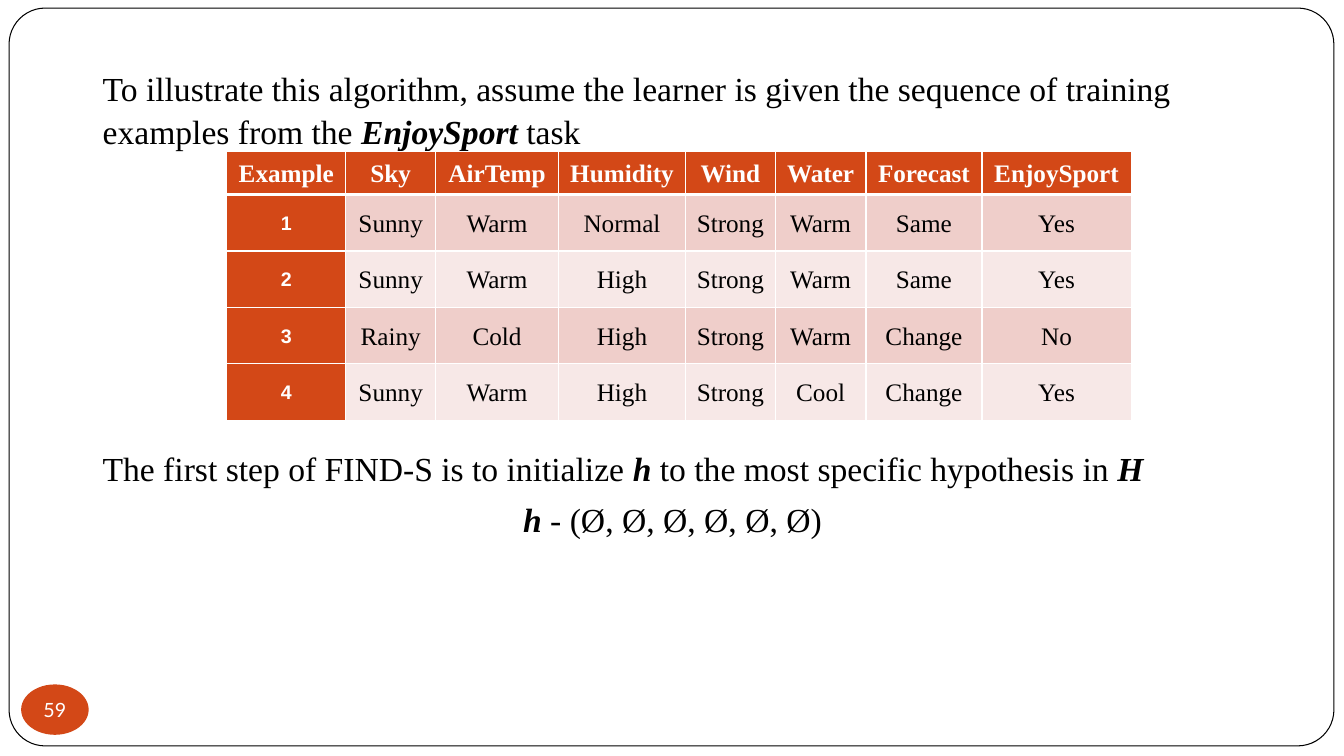
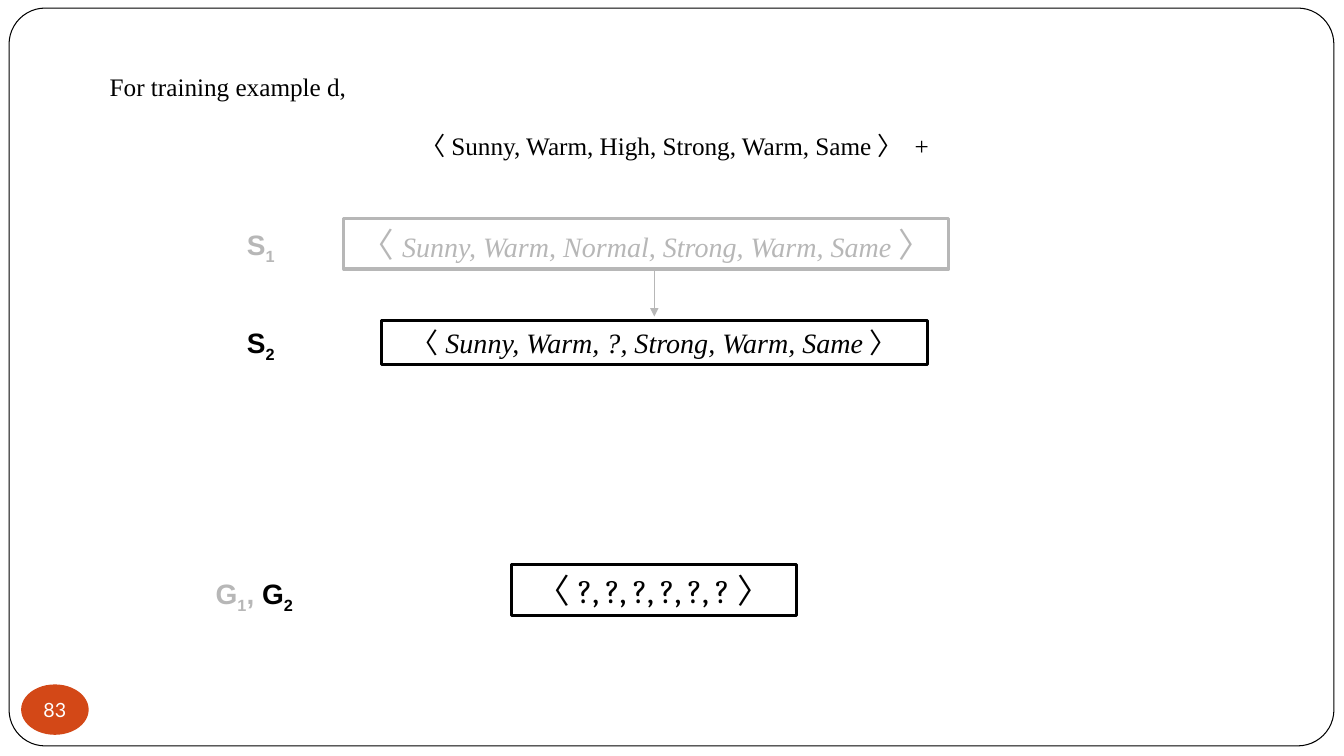
from lxml.etree import SubElement
from pptx import Presentation
from pptx.dml.color import RGBColor
from pptx.enum.shapes import MSO_CONNECTOR as CONNECTOR, MSO_SHAPE as SHAPE
from pptx.enum.text import MSO_ANCHOR as ANCHOR, PP_ALIGN as ALIGN
from pptx.oxml.ns import qn
from pptx.util import Inches, Pt

WIDTH, HEIGHT = 13.33, 7.5
BLACK, WHITE, GREY, ORANGE = "000000", "FFFFFF", "B7B7B7", "D34817"
BANDS = "EFCECA", "F7E8E7"
SERIF, SANS, MATH, NUMBER = "Times New Roman", "Arial", "Cambria", "Lato"
STRONG = {"bold": True, "italic": True}

COLUMNS = {"Example": 1.18, "Sky": 0.89, "AirTemp": 1.22, "Humidity": 1.26,
           "Wind": 0.89, "Water": 0.9, "Forecast": 1.15, "EnjoySport": 1.48}
EXAMPLES = [
    "1 Sunny Warm Normal Strong Warm Same Yes",
    "2 Sunny Warm High Strong Warm Same Yes",
    "3 Rainy Cold High Strong Warm Change No",
    "4 Sunny Warm High Strong Cool Change Yes",
]


def rgb(color):
    return RGBColor.from_string(color)


def inches(box):
    return [Inches(length) for length in box]


def style(span, size=18, font=SERIF, color=BLACK, bold=False, italic=False, base=0):
    """Format a run; base is the baseline shift in percent."""
    face = span.font
    face.size, face.name = Pt(size), font
    face.bold, face.italic = bold, italic
    face.color.rgb = rgb(color)
    if base:
        span._r.get_or_add_rPr().set("baseline", str(base * 1000))


def write(para, spans, align=ALIGN.LEFT, **shared):
    """Fill a paragraph with (text, own format) spans over a shared format."""
    para.alignment = align
    for text, own in spans:
        span = para.add_run()
        span.text = text
        style(span, **{**shared, **own})


def add_text(page, box):
    frame = page.shapes.add_textbox(*inches(box)).text_frame
    frame.word_wrap = True
    return frame


def add_outline(page, kind, box, fill=None, line=None, weight=2.25):
    shape = page.shapes.add_shape(kind, *inches(box))
    shape.shadow.inherit = False
    if fill:
        shape.fill.solid()
        shape.fill.fore_color.rgb = rgb(fill)
    else:
        shape.fill.background()
    if line:
        shape.line.color.rgb = rgb(line)
        shape.line.width = Pt(weight)
    else:
        shape.line.fill.background()
    return shape


def add_page(deck, number):
    """Add a blank page with the rounded frame and the page number badge."""
    page = deck.slides.add_slide(deck.slide_layouts[6])
    frame = add_outline(page, SHAPE.ROUNDED_RECTANGLE, (0.09, 0.08, 13.14, 7.32),
                        WHITE, BLACK, 0.75)
    frame.adjustments[0] = 0.049
    badge = add_outline(page, SHAPE.OVAL, (0.21, 6.79, 0.67, 0.5), ORANGE)
    text = badge.text_frame
    text.margin_left = text.margin_right = text.margin_top = text.margin_bottom = 0
    text.vertical_anchor = ANCHOR.MIDDLE
    write(text.paragraphs[0], [(str(number), {})], ALIGN.CENTER,
          size=14, font=NUMBER, color=WHITE)
    return page


def add_borders(cell, bottom):
    """Draw white cell borders; the bottom one has its own weight."""
    properties = cell._tc.get_or_add_tcPr()
    for position, side in enumerate(("lnL", "lnR", "lnT", "lnB")):
        weight = bottom if side == "lnB" else 1
        line = properties.makeelement(qn(f"a:{side}"), {"w": str(Pt(weight))})
        fill = SubElement(line, qn("a:solidFill"))
        SubElement(fill, qn("a:srgbClr"), val=WHITE)
        properties.insert(position, line)


def fill_cell(cell, text, fill, bottom=1, **look):
    cell.fill.solid()
    cell.fill.fore_color.rgb = rgb(fill)
    cell.margin_left = cell.margin_right = Inches(0.07)
    cell.margin_top = cell.margin_bottom = 0
    cell.vertical_anchor = ANCHOR.MIDDLE
    para = cell.text_frame.paragraphs[0]
    para.line_spacing = 1.07
    write(para, [(text, {})], ALIGN.CENTER, **look)
    add_borders(cell, bottom)


def add_examples(page, left, top, head=0.43, row_height=0.56):
    rows = [line.split() for line in EXAMPLES]
    box = left, top, sum(COLUMNS.values()), head + row_height * len(rows)
    table = page.shapes.add_table(len(rows) + 1, len(COLUMNS), *inches(box)).table
    for row in table.rows:
        row.height = Inches(row_height)
    table.rows[0].height = Inches(head)
    for index, (title, width) in enumerate(COLUMNS.items()):
        table.columns[index].width = Inches(width)
        fill_cell(table.cell(0, index), title, ORANGE, bottom=3, color=WHITE, bold=True)
    for line, values in enumerate(rows, 1):
        number, *attributes = values
        fill_cell(table.cell(line, 0), number, ORANGE,
                  size=14, font=SANS, color=WHITE, bold=True)
        for index, value in enumerate(attributes, 1):
            fill_cell(table.cell(line, index), value, BANDS[(line - 1) % 2])


def add_body(page, box, paragraphs):
    frame = add_text(page, box)
    for index, (align, spans) in enumerate(paragraphs):
        para = frame.add_paragraph() if index else frame.paragraphs[0]
        para.line_spacing = 1.06
        para.space_before = Pt(5.8 if index else 0)
        write(para, spans, align, size=24)


def build_find_s(deck):
    page = add_page(deck, 59)
    left, width = 0.92, 11.5
    add_body(page, (left, 0.6, width, 0.9), [(ALIGN.LEFT, [
        ("To illustrate this algorithm, assume the learner is given the sequence "
         "of training examples from the ", {}),
        ("EnjoySport", STRONG), (" task", {})])])
    add_examples(page, 2.25, 1.5)
    add_body(page, (left, 4.37, width, 1.0), [
        (ALIGN.LEFT, [("The first step of FIND-S is to initialize ", {}), ("h", STRONG),
                      (" to the most specific hypothesis in ", {}), ("H", STRONG)]),
        (ALIGN.CENTER, [("h ", STRONG), ("- (Ø, Ø, Ø, Ø, Ø, Ø)", {})])])


def add_hypothesis(page, box, spans, color=BLACK):
    shape = add_outline(page, SHAPE.RECTANGLE, box, line=color)
    shape.text_frame.word_wrap = True
    shape.text_frame.vertical_anchor = ANCHOR.TOP
    write(shape.text_frame.paragraphs[0], spans, ALIGN.CENTER, size=20, color=color)


def add_label(page, box, names):
    """Write boundary names, each with a subscript, as (text, index, color)."""
    spans = []
    for text, index, color in names:
        spans += [(text, {"color": color}), (index, {"color": color, "base": -25})]
    write(add_text(page, box).paragraphs[0], spans, size=20, font=SANS, bold=True)


def add_arrow(page, x, top, bottom, color):
    arrow = page.shapes.add_connector(CONNECTOR.STRAIGHT, *inches((x, top, x, bottom)))
    arrow.line.color.rgb = rgb(color)
    arrow.line.width = Pt(0.75)
    SubElement(arrow.line._get_or_add_ln(), qn("a:tailEnd"), type="triangle")
    SubElement(arrow._element.spPr, qn("a:effectLst"))


def build_candidate_elimination(deck):
    page = add_page(deck, 83)
    bracket, italic = {"size": 24, "font": MATH}, {"italic": True}
    add_hypothesis(page, (3.41, 2.17, 6, 0.5), [
        ("〈", bracket), ("Sunny, Warm, Normal, Strong, Warm, Same", italic),
        ("〉", bracket)], GREY)
    add_hypothesis(page, (3.78, 3.18, 5.42, 0.44), [
        ("〈", {}), ("Sunny, Warm, ?, Strong, Warm, Same", italic), ("〉", {})])
    add_hypothesis(page, (5.07, 5.6, 2.83, 0.51), [("〈?, ?, ?, ?, ?, ?〉", bracket)])
    add_label(page, (2.35, 2.21, 0.64, 0.44), [("S", "1", GREY)])
    add_label(page, (2.35, 3.18, 0.64, 0.44), [("S", "2", BLACK)])
    add_label(page, (2.04, 5.67, 1.25, 0.44),
              [("G", "1", GREY), (",", "", GREY), (" G", "2", BLACK)])
    add_arrow(page, 6.49, 2.68, 3.14, GREY)

    caption = add_text(page, (0.99, 0.66, 11.4, 1.01))
    write(caption.paragraphs[0], [("For training example d,", {})])
    example = caption.add_paragraph()
    example.space_before = Pt(20.7)
    write(example, [("〈Sunny, Warm, High, Strong, Warm, Same〉 +", {})], ALIGN.CENTER)


def main():
    deck = Presentation()
    deck.slide_width, deck.slide_height = inches((WIDTH, HEIGHT))
    build_find_s(deck)
    build_candidate_elimination(deck)
    deck.save("out.pptx")


if __name__ == "__main__":
    main()
